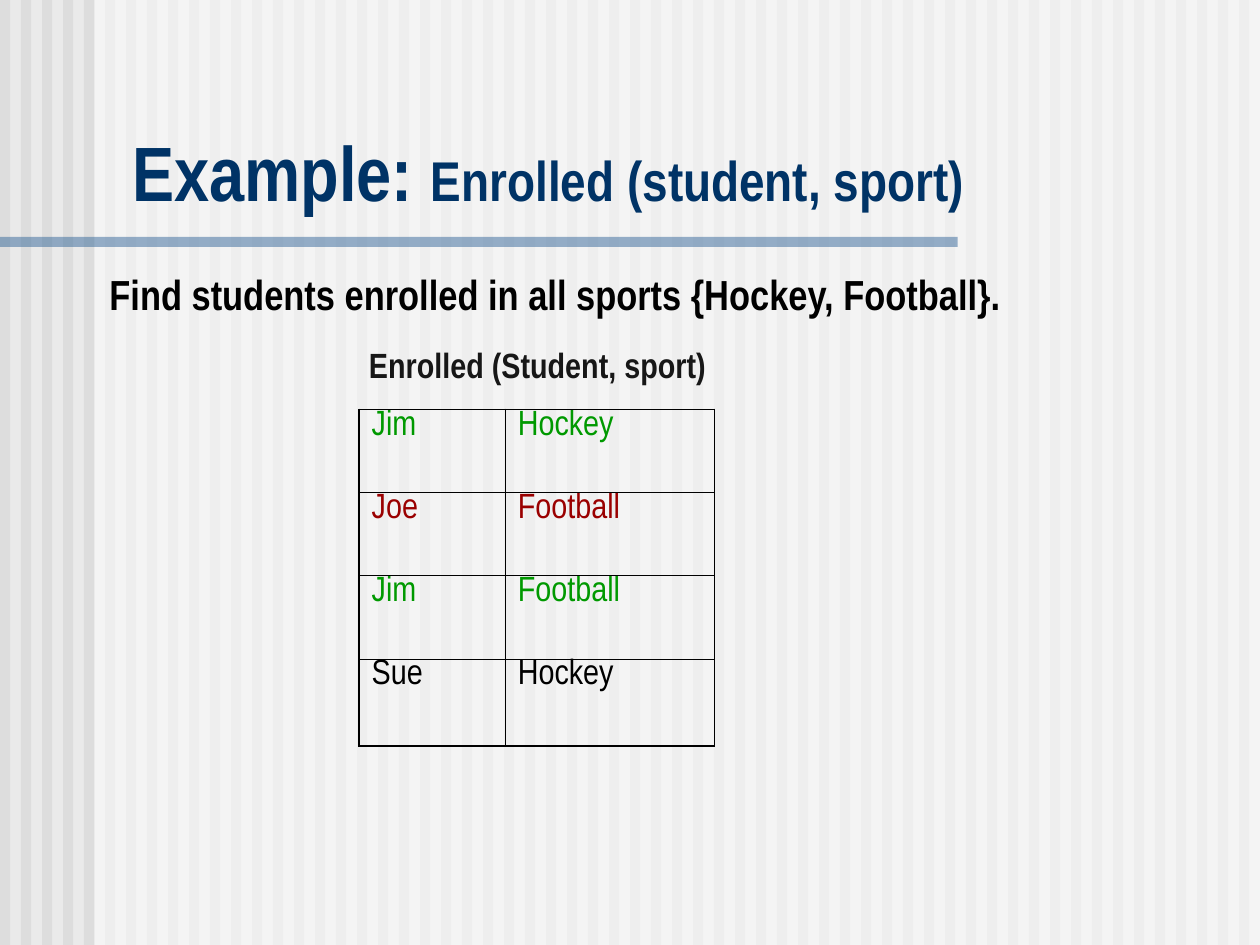
from dataclasses import dataclass

from lxml import etree
from pptx import Presentation
from pptx import util as u
from pptx.dml.color import RGBColor
from pptx.enum import shapes, text
from pptx.oxml import ns

SIZE = 10, 7.5
ROWS = [("Jim", "Hockey", "green"), ("Joe", "Football", "red"),
        ("Jim", "Football", "green"), ("Sue", "Hockey", "black")]
COLS = [1.16, 1.66]
HIGH = [0.66, 0.66, 0.66, 0.69]


@dataclass
class Theme:
    font: str = "Arial Narrow"
    back: str = "EAEAEA"
    stripe: str = "DDDDDD"
    veil: str = "FFFFFF"
    rule: str = "336699"
    title: str = "003366"
    label: str = "171717"
    black: str = "000000"
    green: str = "009900"
    red: str = "9A0000"
    head: int = 44
    sub: int = 32
    lead: int = 24
    body: int = 20
    thin: float = 0.45
    thick: float = 1.08


def apply(item, values):
    for name, value in values.items():
        setattr(item, name, value)


def child(parent, tag, **attrs):
    return etree.SubElement(parent, ns.qn(tag), attrs)


class Deck:
    """Holds the theme and the slide being filled."""

    def __init__(self, slide, theme):
        self.slide, self.theme = slide, theme
        fill = slide.background.fill
        fill.solid()
        fill.fore_color.rgb = RGBColor.from_string(theme.back)

    def run(self, para, words, size, color, bold=True):
        run = para.add_run()
        run.text = words
        apply(run.font, dict(name=self.theme.font, size=u.Pt(size), bold=bold))
        run.font.color.rgb = RGBColor.from_string(color)

    def rect(self, box, color, alpha=None):
        """Draw a borderless bar; alpha is its opacity in percent."""
        bar = self.slide.shapes.add_shape(
            shapes.MSO_SHAPE.RECTANGLE, *map(u.Inches, box))
        bar.shadow.inherit = False
        bar.line.fill.background()
        bar.fill.solid()
        bar.fill.fore_color.rgb = RGBColor.from_string(color)
        if alpha:
            tint = bar.fill._xPr.find(".//" + ns.qn("a:srgbClr"))
            child(tint, "a:alpha", val=str(alpha * 1000))

    def title(self, box, parts):
        """Fill the title and bring it in front of the backdrop."""
        title = self.slide.shapes.title
        left, top, width, height = map(u.Inches, box)
        apply(title, dict(left=left, top=top, width=width, height=height))
        apply(title.text_frame, dict(
            vertical_anchor=text.MSO_ANCHOR.BOTTOM, word_wrap=True,
            auto_size=text.MSO_AUTO_SIZE.NONE))
        para = title.text_frame.paragraphs[0]
        para.alignment = text.PP_ALIGN.LEFT
        for words, size in parts:
            self.run(para, words, size, self.theme.title)
        self.slide.shapes._spTree.append(title._element)

    def label(self, box, words, size, color, wrap=True):
        frame = self.slide.shapes.add_textbox(*map(u.Inches, box)).text_frame
        frame.word_wrap = wrap
        self.run(frame.paragraphs[0], words, size, color)

    def edges(self, cell, outer):
        """Draw the four cell borders, thick on the sides named in outer."""
        props = cell._tc.get_or_add_tcPr()
        for side in "LRTB":
            width = self.theme.thick if side in outer else self.theme.thin
            line = child(props, "a:ln" + side, w=str(u.Pt(width)))
            child(child(line, "a:solidFill"), "a:srgbClr", val=self.theme.black)

    def table(self, left, top, rows):
        box = left, top, sum(COLS), sum(HIGH)
        grid = self.slide.shapes.add_table(
            len(rows), len(COLS), *map(u.Inches, box)).table
        apply(grid, dict(first_row=False, horz_banding=False))
        for col, width in zip(grid.columns, COLS):
            col.width = u.Inches(width)
        for row, height in zip(grid.rows, HIGH):
            row.height = u.Inches(height)
        for r, (*words, color) in enumerate(rows):
            for c, word in enumerate(words):
                cell = grid.cell(r, c)
                cell.margin_top = 0
                self.run(cell.text_frame.paragraphs[0], word, self.theme.body,
                         getattr(self.theme, color), bold=False)
                outer = "LR"[c] + {0: "T", len(rows) - 1: "B"}.get(r, "")
                self.edges(cell, outer)
                cell.fill.background()


def main():
    prs = Presentation()
    prs.slide_width, prs.slide_height = map(u.Inches, SIZE)
    theme = Theme()
    deck = Deck(prs.slides.add_slide(prs.slide_layouts[5]), theme)
    for i in range(60):
        deck.rect((i / 6, 0, 0.08, 7.5), theme.stripe)
    deck.rect((0.75, 0, 9.25, 7.5), theme.veil, 50)
    deck.rect((0, 1.88, 7.6, 0.08), theme.rule, 50)
    deck.title((0.95, 0.94, 8.93, 0.83),
               [("Example: ", theme.head),
                ("Enrolled (student, sport)", theme.sub)])
    deck.table(2.85, 3.25, ROWS)
    deck.label((0.77, 2.08, 7.29, 0.5),
               "Find students enrolled in all sports {Hockey, Football}.",
               theme.lead, theme.black, wrap=False)
    deck.label((2.83, 2.68, 3, 0.44), "Enrolled (Student, sport)",
               theme.body, theme.label)
    prs.save("out.pptx")


if __name__ == "__main__":
    main()
